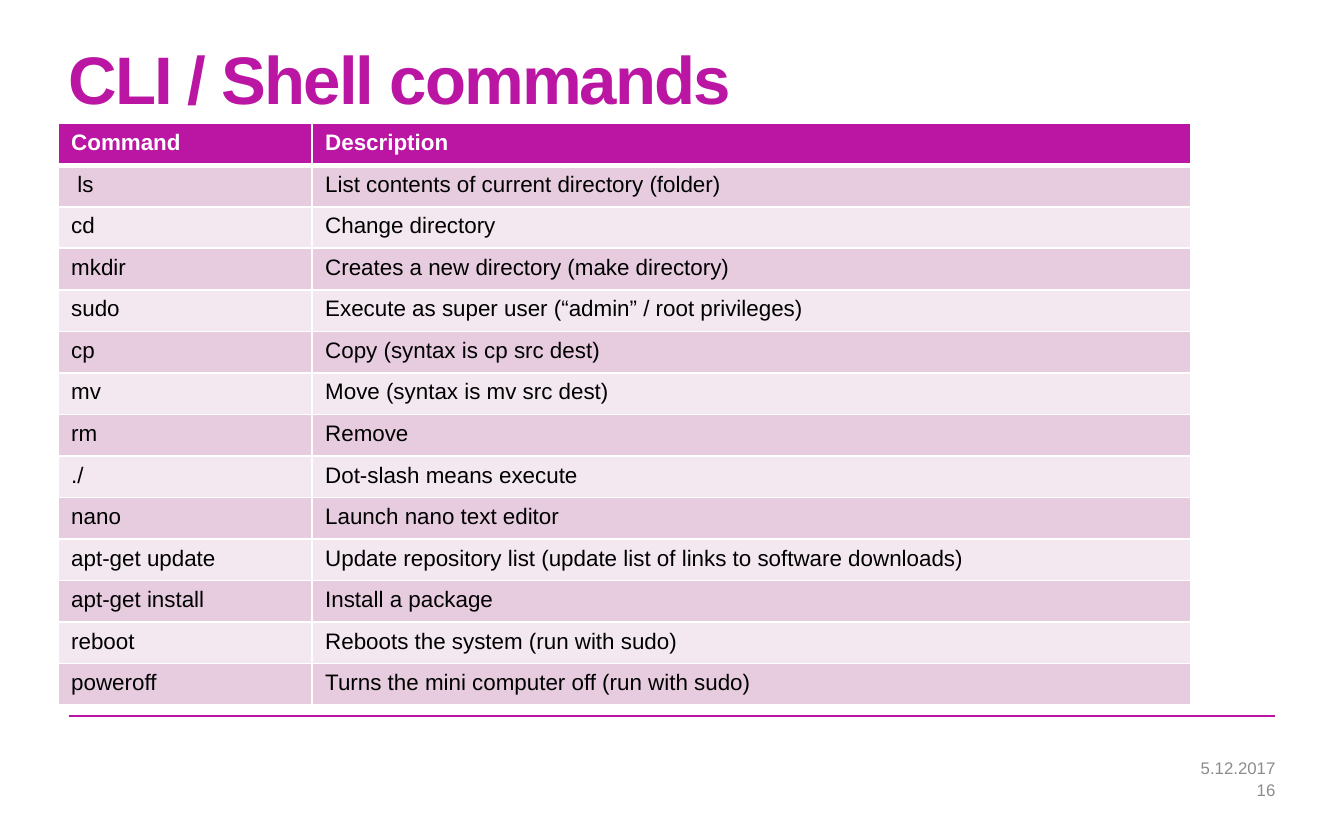
"""Build a slide with a table of shell commands."""
from lxml import etree
from pptx import Presentation
from pptx.dml.color import RGBColor
from pptx.enum import shapes, text
from pptx.oxml import ns
from pptx.util import Inches, Pt

MAGENTA = RGBColor(0xBB, 0x16, 0xA3)
BAND_DARK = RGBColor(0xE7, 0xCC, 0xE0)
BAND_LIGHT = RGBColor(0xF3, 0xE8, 0xF0)
WHITE = RGBColor(0xFF, 0xFF, 0xFF)
BLACK = RGBColor(0x00, 0x00, 0x00)
GREY = RGBColor(0x8C, 0x8C, 0x8C)

ROWS = [
    ("Command", "Description"),
    (" ls", "List contents of current directory (folder)"),
    ("cd", "Change directory"),
    ("mkdir", "Creates a new directory (make directory)"),
    ("sudo", "Execute as super user (“admin” / root privileges)"),
    ("cp", "Copy (syntax is cp src dest)"),
    ("mv", "Move (syntax is mv src dest)"),
    ("rm", "Remove"),
    ("./", "Dot-slash means execute"),
    ("nano", "Launch nano text editor"),
    ("apt-get update", "Update repository list (update list of links to software downloads)"),
    ("apt-get install", "Install a package"),
    ("reboot", "Reboots the system (run with sudo)"),
    ("poweroff", "Turns the mini computer off (run with sudo)"),
]
COLUMN_WIDTHS = (1.89, 6.54)
TABLE_HEIGHT = 4.33


def write(tf, content, size=12, color=BLACK, bold=False, align=text.PP_ALIGN.LEFT):
    """Write one formatted paragraph into a text frame and return it."""
    p = tf.paragraphs[0]
    p.alignment = align
    r = p.add_run()
    r.text = content
    r.font.name = "Arial"
    r.font.size = Pt(size)
    r.font.bold = bold
    r.font.color.rgb = color
    return p


def add_title(slide, content):
    """Place and format the title placeholder."""
    sp = slide.shapes.title
    sp.left, sp.top = Inches(0.51), Inches(0.37)
    sp.width, sp.height = Inches(5), Inches(0.47)
    tf = sp.text_frame
    tf.margin_left = tf.margin_right = tf.margin_top = tf.margin_bottom = 0
    tf.vertical_anchor = text.MSO_ANCHOR.TOP
    tf.auto_size = text.MSO_AUTO_SIZE.NONE
    tf.word_wrap = True
    p = write(tf, content, size=36, color=MAGENTA, bold=True)
    p.line_spacing = 0.85
    p.space_before = Pt(0)
    p.runs[0].font._element.set("spc", "-100")


def add_rule(slide):
    """Draw the line above the footer."""
    line = slide.shapes.add_connector(
        shapes.MSO_CONNECTOR.STRAIGHT,
        Inches(0.51), Inches(5.33), Inches(9.49), Inches(5.33))
    line.line.color.rgb = MAGENTA
    line.line.width = Pt(1)
    etree.SubElement(line._element.spPr, ns.qn("a:effectLst"))


def add_footer(slide, content, top, height):
    """Add a right-aligned footer text."""
    sp = slide.shapes.add_textbox(Inches(5.53), Inches(top), Inches(3.96), Inches(height))
    tf = sp.text_frame
    tf.word_wrap = True
    tf.margin_right = 0
    tf.vertical_anchor = text.MSO_ANCHOR.MIDDLE
    write(tf, content, size=9, color=GREY, align=text.PP_ALIGN.RIGHT)


def set_borders(cell, **widths):
    """Give a cell white borders with widths in points by side."""
    tc_pr = cell._tc.get_or_add_tcPr()
    for i, (side, width) in enumerate(widths.items()):
        ln = etree.Element(ns.qn(f"a:ln{side}"), w=str(Pt(width)))
        fill = etree.SubElement(ln, ns.qn("a:solidFill"))
        etree.SubElement(fill, ns.qn("a:srgbClr"), val=str(WHITE))
        tc_pr.insert(i, ln)


def add_command_table(slide):
    """Add the banded table of commands."""
    table = slide.shapes.add_table(
        len(ROWS), len(COLUMN_WIDTHS), Inches(0.43), Inches(0.92),
        Inches(sum(COLUMN_WIDTHS)), Inches(TABLE_HEIGHT)).table
    for column, width in zip(table.columns, COLUMN_WIDTHS):
        column.width = Inches(width)
    for i, row in enumerate(ROWS):
        table.rows[i].height = Inches(TABLE_HEIGHT / len(ROWS))
        header = i == 0
        band = MAGENTA if header else BAND_DARK if i % 2 else BAND_LIGHT
        for j, content in enumerate(row):
            cell = table.cell(i, j)
            cell.fill.solid()
            cell.fill.fore_color.rgb = band
            set_borders(cell, L=1, R=1, T=3 if i == 1 else 1, B=3 if header else 1)
            write(cell.text_frame, content, color=WHITE if header else BLACK, bold=header)


def main():
    """Build and save the slide."""
    prs = Presentation()
    prs.slide_width, prs.slide_height = Inches(10), Inches(6.25)
    slide = prs.slides.add_slide(prs.slide_layouts[5])
    add_rule(slide)
    add_title(slide, "CLI / Shell commands")
    add_footer(slide, "5.12.2017", 5.63, 0.17)
    add_footer(slide, "16", 5.8, 0.15)
    add_command_table(slide)
    prs.save("out.pptx")


if __name__ == "__main__":
    main()
